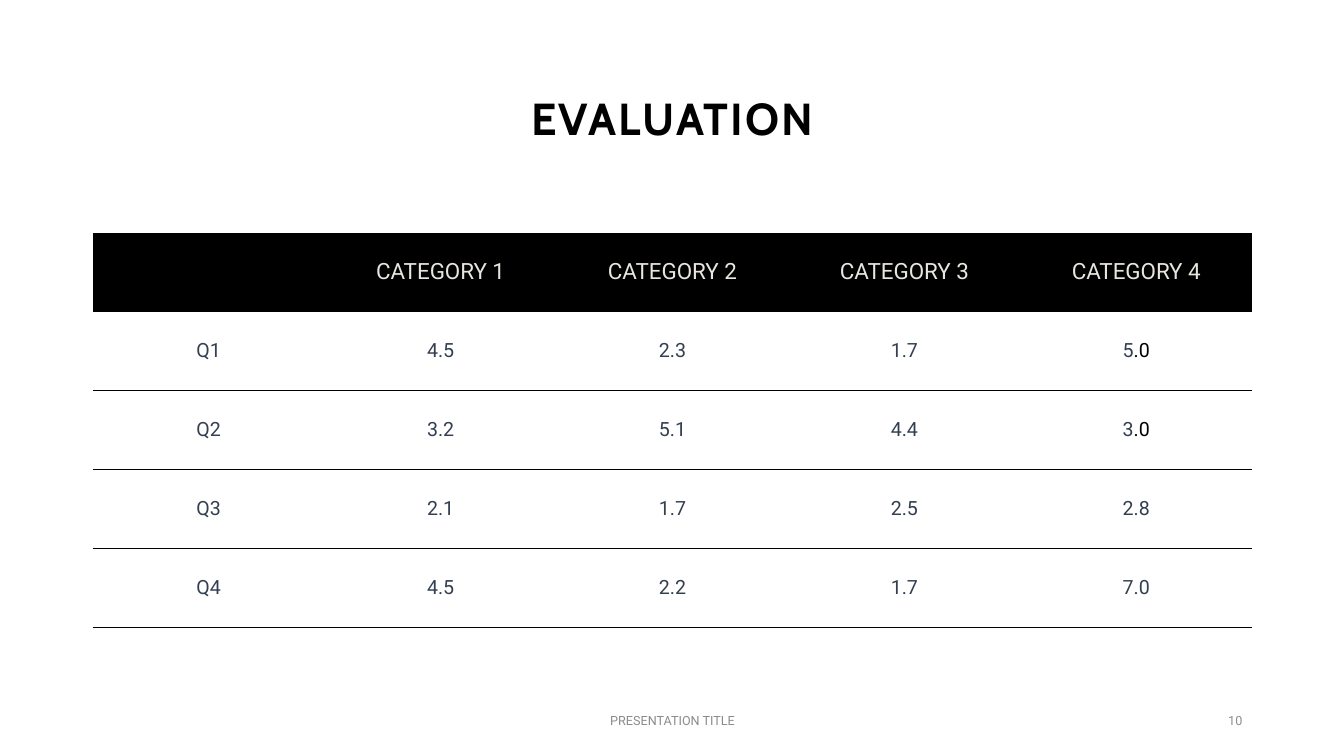
import lxml.etree
import pptx
import pptx.dml.color
import pptx.enum.text
import pptx.oxml.ns
import pptx.util

Inches = pptx.util.Inches
Pt = pptx.util.Pt
RGBColor = pptx.dml.color.RGBColor
PP_ALIGN = pptx.enum.text.PP_ALIGN
MSO_ANCHOR = pptx.enum.text.MSO_ANCHOR
qn = pptx.oxml.ns.qn

BLACK = RGBColor(0x00, 0x00, 0x00)
CREAM = RGBColor(0xE9, 0xE6, 0xDF)
SLATE = RGBColor(0x33, 0x3F, 0x50)
GREY = RGBColor(0x8C, 0x8C, 0x8C)

ROWS = [
    ["", "CATEGORY 1", "CATEGORY 2", "CATEGORY 3", "CATEGORY 4"],
    ["Q1", "4.5", "2.3", "1.7", ("5", ".0")],
    ["Q2", "3.2", "5.1", "4.4", ("3", ".0")],
    ["Q3", "2.1", "1.7", "2.5", "2.8"],
    ["Q4", "4.5", "2.2", "1.7", "7.0"],
]


def add_run(p, text, size, color, font="Roboto"):
    """Add a styled run to a paragraph and return it."""
    r = p.add_run()
    r.text = text
    r.font.size = Pt(size)
    r.font.name = font
    r.font.color.rgb = color
    return r


def add_text(s, box, text, size, color, align, font="Roboto"):
    """Add a vertically centred one-line text box and return its paragraph."""
    tf = s.shapes.add_textbox(*[Inches(v) for v in box]).text_frame
    tf.word_wrap = True
    tf.vertical_anchor = MSO_ANCHOR.MIDDLE
    p = tf.paragraphs[0]
    p.alignment = align
    add_run(p, text, size, color, font)
    return p


def add_title(s, text):
    """Add the bold, letter-spaced title."""
    p = add_text(s, (0.92, 0.4, 11.5, 1.45), text, 32, BLACK, PP_ALIGN.CENTER, "Cabin")
    p.line_spacing = 1.15
    r = p.runs[0]
    r.font.bold = True
    r.font._element.set("spc", "150")


def set_borders(cell, sides):
    """Draw thin black lines on the named sides and clear the others."""
    tcPr = cell._tc.get_or_add_tcPr()
    for i, side in enumerate("LRTB"):
        ln = lxml.etree.Element(qn(f"a:ln{side}"), w=str(Pt(0.5)))
        if side in sides:
            fill = lxml.etree.SubElement(ln, qn("a:solidFill"))
            lxml.etree.SubElement(fill, qn("a:srgbClr"), val=str(BLACK))
        else:
            lxml.etree.SubElement(ln, qn("a:noFill"))
        tcPr.insert(i, ln)


def fill_cell(cell, content, header):
    """Fill one table cell, with any second text part in black."""
    cell.vertical_anchor = MSO_ANCHOR.MIDDLE
    if header:
        cell.fill.solid()
        cell.fill.fore_color.rgb = BLACK
    else:
        cell.fill.background()
    set_borders(cell, "TB")
    p = cell.text_frame.paragraphs[0]
    p.alignment = PP_ALIGN.CENTER
    size, color = (16, CREAM) if header else (14, SLATE)
    parts = (content,) if isinstance(content, str) else content
    for text, part_color in zip(parts, (color, BLACK)):
        if text:
            add_run(p, text, size, part_color)


def add_evaluation_table(s):
    """Add the quarter by category table."""
    box = [Inches(v) for v in (0.92, 2.31, 11.5, 3.91)]
    table = s.shapes.add_table(len(ROWS), len(ROWS[0]), *box).table
    table.horz_banding = False
    for i, row in enumerate(ROWS):
        for j, content in enumerate(row):
            fill_cell(table.cell(i, j), content, header=i == 0)


def main():
    """Build the evaluation slide."""
    prs = pptx.Presentation()
    prs.slide_width = Inches(13.33)
    prs.slide_height = Inches(7.5)
    s = prs.slides.add_slide(prs.slide_layouts[6])
    add_title(s, "EVALUATION")
    add_evaluation_table(s)
    add_text(s, (4.42, 6.95, 4.5, 0.4), "PRESENTATION TITLE", 9, GREY, PP_ALIGN.CENTER)
    add_text(s, (9.42, 6.95, 3, 0.4), "10", 9, GREY, PP_ALIGN.RIGHT)
    prs.save("out.pptx")


if __name__ == "__main__":
    main()
